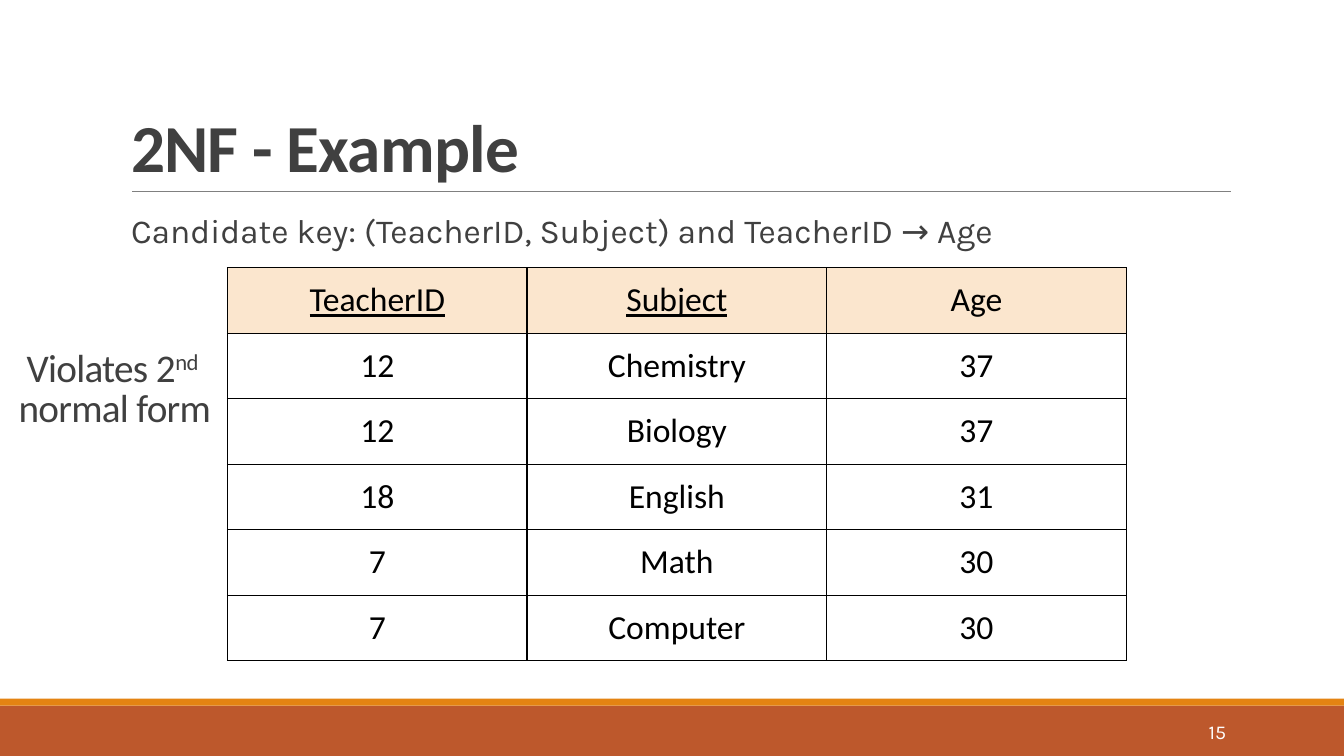
from lxml.etree import SubElement
from pptx import Presentation
from pptx.dml.color import RGBColor
from pptx.enum.shapes import MSO_CONNECTOR, MSO_SHAPE
from pptx.enum.text import MSO_ANCHOR, MSO_AUTO_SIZE, PP_ALIGN
from pptx.oxml.ns import qn
from pptx.util import Pt

HUES = {
    "rust": "BD582C", "gold": "E48312", "rule": "808080", "text": "404040",
    "head": "FBE6CE", "ink": "000000", "white": "FFFFFF",
}
ROWS = [
    ("TeacherID", "Subject", "Age"),
    ("12", "Chemistry", "37"),
    ("12", "Biology", "37"),
    ("18", "English", "31"),
    ("7", "Math", "30"),
    ("7", "Computer", "30"),
]
KEYS = ("TeacherID", "Subject")


def hue(name):
    return RGBColor.from_string(HUES[name])


def place(shape, box):
    shape.left, shape.top, shape.width, shape.height = [Pt(n) for n in box]


def setup(shape, anchor):
    frame = shape.text_frame
    frame.word_wrap = True
    frame.auto_size = MSO_AUTO_SIZE.NONE
    frame.vertical_anchor = anchor
    return frame.paragraphs[0]


def add_run(para, text, size, color, face="Calibri", bold=False, track=0, lift=0):
    run = para.add_run()
    run.text = text
    font = run.font
    font.size, font.name, font.bold = Pt(size), face, bold
    font.color.rgb = hue(color)
    props = font._element
    if track:
        props.set("spc", str(track))
    if lift:
        props.set("baseline", str(lift))
    return run


def add_band(slide, box, color):
    band = slide.shapes.add_shape(MSO_SHAPE.RECTANGLE, *[Pt(n) for n in box])
    band.shadow.inherit = False
    band.fill.solid()
    band.fill.fore_color.rgb = hue(color)
    band.line.fill.background()


def add_foot(slide, box):
    left, top, width, height = box
    strip = 5
    add_band(slide, (left, top + strip, width, height - strip), "rust")
    add_band(slide, (left, top, width, strip), "gold")
    page = slide.shapes.add_textbox(
        Pt(left + 780), Pt(top + 9.3), Pt(103), Pt(28.8))
    para = setup(page, MSO_ANCHOR.MIDDLE)
    para.alignment = PP_ALIGN.RIGHT
    add_run(para, "15", 14, "white", "Karla")


def add_head(slide, box):
    left, top, width, height = box
    base = top + height
    rule = slide.shapes.add_connector(
        MSO_CONNECTOR.STRAIGHT, Pt(left + 8), Pt(base), Pt(left + width), Pt(base))
    rule.line.color.rgb = hue("rule")
    rule.line.width = Pt(0.5)
    SubElement(rule._element.spPr, qn("a:effectLst"))
    title = slide.shapes.title
    place(title, box)
    para = setup(title, MSO_ANCHOR.BOTTOM)
    para.alignment = PP_ALIGN.LEFT
    para.line_spacing = 0.85
    add_run(para, "2NF - Example", 48, "text", bold=True, track=-50)


def add_body(slide, box):
    body = slide.placeholders[1]
    place(body, box)
    para = setup(body, MSO_ANCHOR.TOP)
    props = para._p.get_or_add_pPr()
    props.set("marL", "0")
    props.set("indent", "0")
    SubElement(props, qn("a:buNone"))
    para.space_before = Pt(0)
    add_run(para, "Candidate key: (TeacherID, Subject) and TeacherID → Age",
            24, "text", "Karla")


def add_edges(cell):
    props = cell._tc.get_or_add_tcPr()
    for side in ("lnL", "lnR", "lnT", "lnB"):
        line = SubElement(props, qn("a:" + side), w=str(Pt(1)))
        fill = SubElement(line, qn("a:solidFill"))
        SubElement(fill, qn("a:srgbClr"), val=HUES["ink"])


def add_grid(slide, box):
    left, top, width, height = box
    frame = slide.shapes.add_table(
        len(ROWS), len(ROWS[0]), Pt(left), Pt(top), Pt(width), Pt(height))
    table = frame.table
    table.first_row = table.horz_banding = False
    for col in table.columns:
        col.width = Pt(width / len(ROWS[0]))
    for row in table.rows:
        row.height = Pt(height / len(ROWS))
    for r, words in enumerate(ROWS):
        for c, word in enumerate(words):
            cell = table.cell(r, c)
            add_edges(cell)
            if r == 0:
                cell.fill.solid()
                cell.fill.fore_color.rgb = hue("head")
            else:
                cell.fill.background()
            cell.vertical_anchor = MSO_ANCHOR.MIDDLE
            para = cell.text_frame.paragraphs[0]
            para.alignment = PP_ALIGN.CENTER
            run = add_run(para, word, 24, "ink")
            run.font.underline = r == 0 and word in KEYS


def add_note(slide, box):
    note = slide.shapes.add_textbox(*[Pt(n) for n in box])
    para = setup(note, MSO_ANCHOR.BOTTOM)
    para.alignment = PP_ALIGN.CENTER
    para.line_spacing = 0.85
    add_run(para, "Violates 2", 28, "text", track=-50)
    add_run(para, "nd ", 28, "text", track=-50, lift=30000)
    para.add_line_break()
    add_run(para, "normal form", 28, "text", track=-50)


def main():
    deck = Presentation()
    deck.slide_width, deck.slide_height = Pt(960), Pt(540)
    slide = deck.slides.add_slide(deck.slide_layouts[1])
    add_foot(slide, (0, 499, 960, 41))
    add_head(slide, (86.4, 22.4, 792.6, 114.4))
    add_body(slide, (86.4, 146.5, 821.5, 36))
    add_grid(slide, (162.5, 191.2, 642, 280.8))
    add_note(slide, (-8, 229, 180, 82))
    deck.save("out.pptx")


if __name__ == "__main__":
    main()
